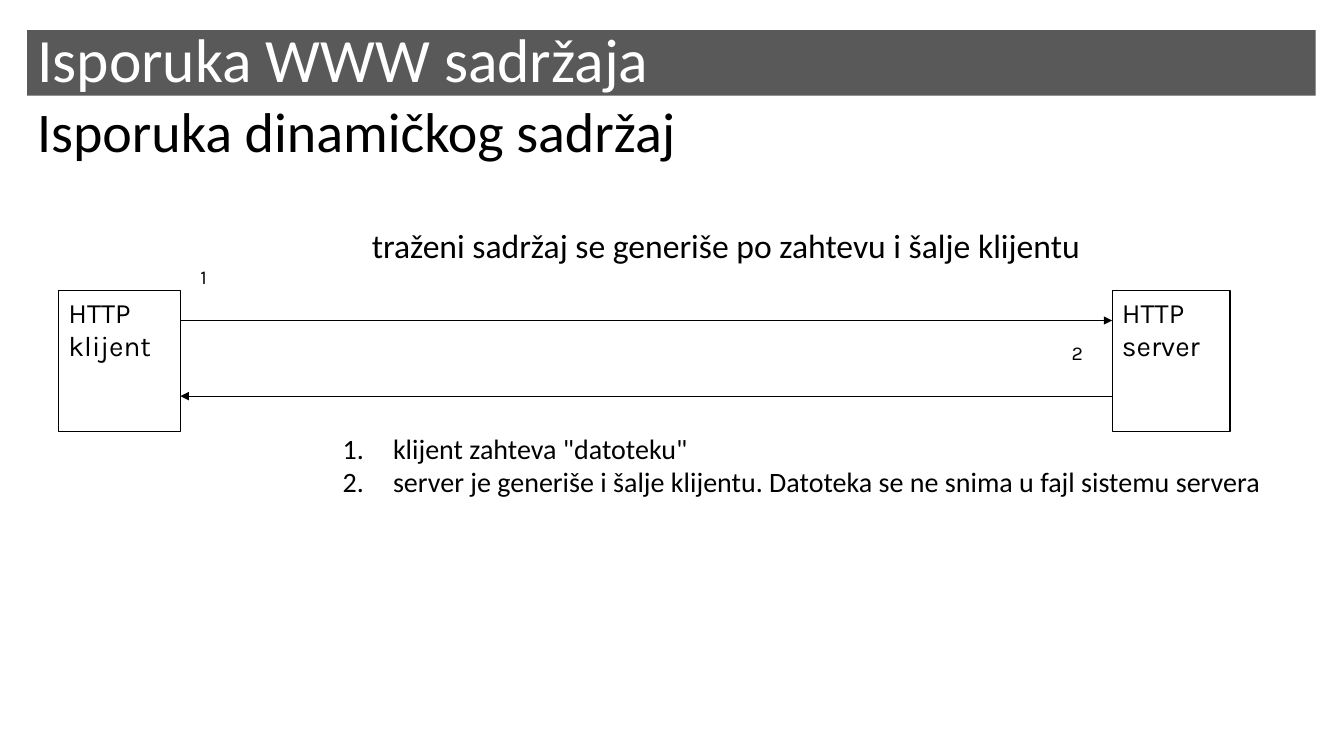
import collections
import lxml.etree
import pptx
import pptx.dml.color
import pptx.enum.shapes
import pptx.enum.text
import pptx.oxml.ns
import pptx.util

COLORS = {"bar": "595959", "ink": "000000", "paper": "FFFFFF"}
CELL = 0.1
COLUMNS, ROWS = 133.3, 75

Box = collections.namedtuple("Box", "left top width height")


def cells(count):
    return pptx.util.Inches(count * CELL)


def color(name):
    return pptx.dml.color.RGBColor.from_string(COLORS[name])


def within(box, left, top, width, height):
    return Box(box.left + left, box.top + top, width, height)


def add_element(parent, tag, **attributes):
    return lxml.etree.SubElement(parent, pptx.oxml.ns.qn(tag), attributes)


def write(shape, lines, size, font="Calibri", ink="ink", middle=False, numbered=False):
    frame = shape.text_frame
    frame.word_wrap = True
    anchors = pptx.enum.text.MSO_ANCHOR
    frame.vertical_anchor = anchors.MIDDLE if middle else anchors.TOP
    for index, line in enumerate(lines):
        para = frame.add_paragraph() if index else frame.paragraphs[0]
        para.alignment = pptx.enum.text.PP_ALIGN.LEFT
        if middle:
            para.line_spacing = 0.9
        if numbered:
            properties = para._p.get_or_add_pPr()
            properties.set("marL", str(cells(5)))
            properties.set("indent", str(-cells(5)))
            add_element(properties, "a:buFont", typeface="+mj-lt")
            add_element(properties, "a:buAutoNum", type="arabicPeriod")
        span = para.add_run()
        span.text = line
        span.font.size = pptx.util.Pt(size)
        span.font.name = font
        span.font.color.rgb = color(ink)


def add_text(page, box, lines, size, **style):
    shape = page.shapes.add_textbox(*map(cells, box))
    write(shape, lines, size, **style)


def add_rectangle(page, box, fill=None, line=None):
    shape = page.shapes.add_shape(
        pptx.enum.shapes.MSO_SHAPE.RECTANGLE, *map(cells, box))
    shape.shadow.inherit = False
    if fill:
        shape.fill.solid()
        shape.fill.fore_color.rgb = color(fill)
    else:
        shape.fill.background()
    if line:
        shape.line.color.rgb = color(line)
        shape.line.width = pptx.util.Pt(0.75)
    else:
        shape.line.fill.background()
    return shape


def add_arrow(page, left, right, level, arrowhead):
    arrow = page.shapes.add_connector(
        pptx.enum.shapes.MSO_CONNECTOR.STRAIGHT,
        cells(left), cells(level), cells(right), cells(level))
    arrow.line.color.rgb = color("ink")
    arrow.line.width = pptx.util.Pt(0.75)
    add_element(arrow.line._get_or_add_ln(), arrowhead, type="triangle")
    add_element(arrow._element.spPr, "a:effectLst")


def add_heading(page, box):
    bar = add_rectangle(page, within(box, 0, 0, box.width, 6.5), fill="bar")
    write(bar, ["Isporuka WWW sadržaja"], 44, ink="paper", middle=True)
    add_text(page, within(box, 0, 7.5, box.width, 5.7),
             ["Isporuka dinamičkog sadržaj"], 40, middle=True)


def add_exchange(page, box):
    client = within(box, 0, 7, 12.1, 14)
    server = within(box, box.width - 11.7, 7, 11.7, 14)
    for party, name in ((client, "klijent"), (server, "server")):
        node = add_rectangle(page, party, line="ink")
        write(node, ["HTTP", name], 20, font="Karla")

    start, end = client.left + client.width, server.left
    steps = (("1", start + 1, "a:tailEnd"), ("2", end - 5, "a:headEnd"))
    for index, (number, left, arrowhead) in enumerate(steps):
        level = client.top + 3 + 7.5 * index
        add_arrow(page, start, end, level, arrowhead)
        add_text(page, Box(left, level - 6, 3.7, 6), [number], 14, font="Karla")

    add_text(page, within(box, 27.2, 20.5, 94, 7.7), [
        'klijent zahteva "datoteku"',
        "server je generiše i šalje klijentu. Datoteka se ne snima u fajl sistemu servera",
    ], 20, numbered=True)
    add_text(page, within(box, 30.1, 0, 72.9, 5),
             ["traženi sadržaj se generiše po zahtevu i šalje klijentu"], 24)


def main():
    deck = pptx.Presentation()
    deck.slide_width, deck.slide_height = cells(COLUMNS), cells(ROWS)
    page = deck.slides.add_slide(deck.slide_layouts[6])
    page.background.fill.solid()
    page.background.fill.fore_color.rgb = color("paper")
    add_heading(page, Box(2.7, 3, 127.8, 13.2))
    add_exchange(page, Box(5.8, 21.8, 116.2, 28.2))
    deck.save("out.pptx")


if __name__ == "__main__":
    main()
